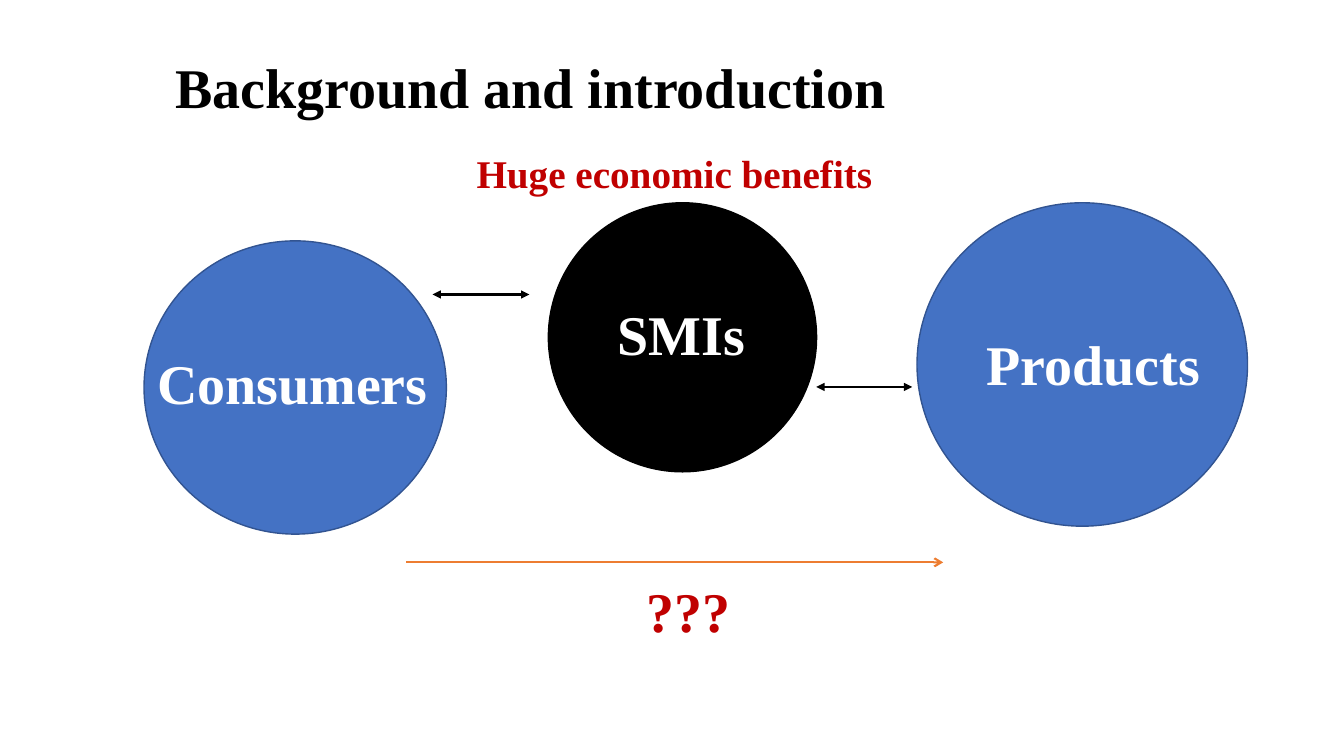
from dataclasses import dataclass

from lxml import etree
from pptx import Presentation
from pptx.dml.color import RGBColor
from pptx.enum.shapes import MSO_CONNECTOR, MSO_SHAPE
from pptx.enum.text import MSO_ANCHOR
from pptx.oxml.ns import qn
from pptx.util import Cm, Pt

STRAIGHT = MSO_CONNECTOR.STRAIGHT
OVAL = MSO_SHAPE.OVAL
MIDDLE = MSO_ANCHOR.MIDDLE


@dataclass(frozen=True)
class Theme:
    font: str = "Times New Roman"
    black: RGBColor = RGBColor(0x00, 0x00, 0x00)
    white: RGBColor = RGBColor(0xFF, 0xFF, 0xFF)
    blue: RGBColor = RGBColor(0x44, 0x72, 0xC4)
    dark_blue: RGBColor = RGBColor(0x32, 0x54, 0x91)
    red: RGBColor = RGBColor(0xC0, 0x00, 0x00)
    orange: RGBColor = RGBColor(0xED, 0x7D, 0x31)
    large: Pt = Pt(40)
    medium: Pt = Pt(28)
    outline: Pt = Pt(1)
    arrow: Pt = Pt(1.5)


theme = Theme()

presentation = Presentation()
presentation.slide_width = Cm(33.87)
presentation.slide_height = Cm(19.05)
slide = presentation.slides.add_slide(presentation.slide_layouts[6])

circles = [
    (3.63, 6.07, 7.62, 7.39, theme.blue, theme.dark_blue),
    (23.11, 5.11, 8.33, 8.15, theme.blue, theme.dark_blue),
    (13.82, 5.11, 6.76, 6.78, theme.black, theme.black),
]
for left, top, width, height, fill, outline in circles:
    circle = slide.shapes.add_shape(OVAL, Cm(left), Cm(top), Cm(width), Cm(height))
    circle.shadow.inherit = False
    circle.fill.solid()
    circle.fill.fore_color.rgb = fill
    circle.line.color.rgb = outline
    circle.line.width = theme.outline

label_height = 3.68
labels = [
    ("Background and introduction", 4.17, 0.43, 29.2, theme.large, theme.black),
    ("Consumers", 3.71, 7.9, 9.6, theme.large, theme.white),
    ("SMIs", 15.32, 6.65, 16.9, theme.large, theme.white),
    ("Products", 24.61, 7.42, 9, theme.large, theme.white),
    ("???", 16.05, 13.64, 9.6, theme.large, theme.red),
    ("Huge economic benefits", 11.76, 2.59, 14.94, theme.medium, theme.red),
]
for text, left, top, width, size, color in labels:
    label = slide.shapes.add_textbox(Cm(left), Cm(top), Cm(width), Cm(label_height))
    frame = label.text_frame
    frame.word_wrap = True
    frame.vertical_anchor = MIDDLE
    paragraph = frame.paragraphs[0]
    paragraph.line_spacing = 0.9
    run = paragraph.add_run()
    run.text = text
    run.font.name = theme.font
    run.font.size = size
    run.font.bold = True
    run.font.color.rgb = color

both_ends = {"headEnd": "triangle", "tailEnd": "triangle"}
arrows = [
    (10.9, 13.34, 7.42, theme.black, both_ends),
    (20.57, 22.99, 9.75, theme.black, both_ends),
    (10.24, 23.77, 14.17, theme.orange, {"tailEnd": "arrow"}),
]
for start, end, level, color, tips in arrows:
    arrow = slide.shapes.add_connector(STRAIGHT, Cm(start), Cm(level), Cm(end), Cm(level))
    arrow.line.color.rgb = color
    arrow.line.width = theme.arrow
    properties = arrow.element.spPr
    line = properties.find(qn("a:ln"))
    for tip, kind in tips.items():
        etree.SubElement(line, qn(f"a:{tip}"), type=kind)
    etree.SubElement(properties, qn("a:effectLst"))

presentation.save("out.pptx")
